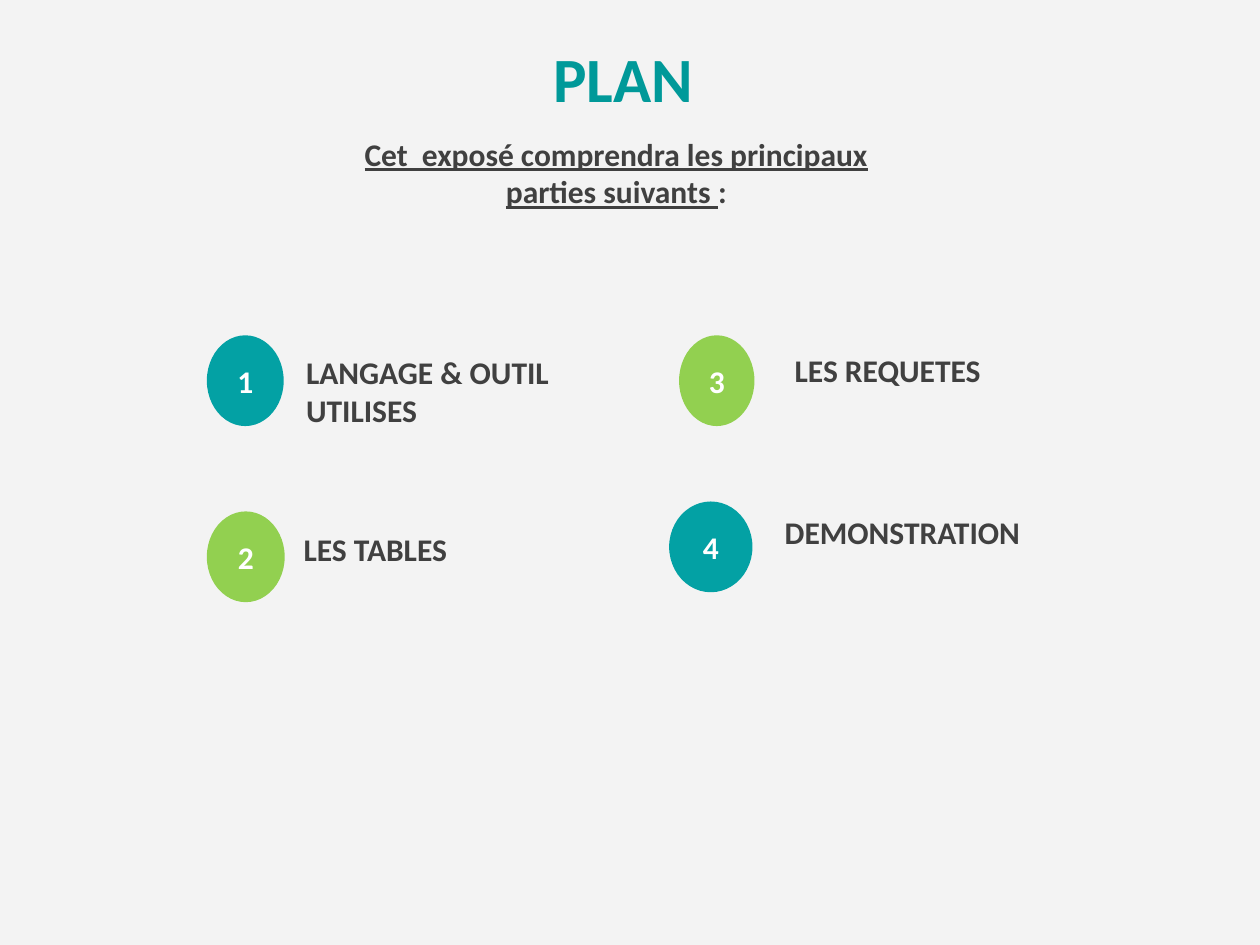
from lxml import etree
from pptx import Presentation
from pptx.dml.color import RGBColor
from pptx.enum.shapes import MSO_SHAPE as Shape
from pptx.enum.text import MSO_ANCHOR as Anchor, PP_ALIGN as Align
from pptx.oxml import parse_xml
from pptx.util import Cm, Pt

BACKGROUND = RGBColor(0xF3, 0xF3, 0xF3)
TITLE_TEAL = RGBColor(0x00, 0x99, 0x99)
TEAL = RGBColor(0x03, 0xA1, 0xA4)
GREEN = RGBColor(0x92, 0xD0, 0x50)
DARK = RGBColor(0x40, 0x40, 0x40)
WHITE = RGBColor(0xFF, 0xFF, 0xFF)

FONT = "Calibri"
BADGE_HEIGHT = 1.83

TEXT_SHADOW = (
    '<a:effectLst xmlns:a="http://schemas.openxmlformats.org/drawingml/2006/main">'
    '<a:outerShdw blurRad="50800" dist="38100" dir="13500000" algn="br" rotWithShape="0">'
    '<a:prstClr val="black"><a:alpha val="40000"/></a:prstClr>'
    '</a:outerShdw></a:effectLst>'
)

ITEMS = [
    ("1", "LANGAGE & OUTIL UTILISES", TEAL, (4.17, 6.76, 8.28, 2.03), 1.55, (1.75, 0.23)),
    ("2", "LES TABLES", GREEN, (4.17, 10.31, 8.46, 1.27), 1.57, (1.7, 0.25)),
    ("3", "LES REQUETES", GREEN, (13.69, 6.76, 7.24, 1.22), 1.52, (2.08, 0.2)),
    ("4", "DEMONSTRATION", TEAL, (13.49, 10.11, 7.72, 1.9), 1.68, (2.08, 0.1)),
]


def to_cm(box):
    return [Cm(length) for length in box]


def add_run(para, text, color, size=18, underline=None):
    run = para.add_run()
    run.text = text
    font = run.font
    font.name, font.size, font.bold = FONT, Pt(size), True
    font.underline = underline
    font.color.rgb = color
    return run


def add_text_box(page, box):
    frame = page.shapes.add_textbox(*to_cm(box)).text_frame
    frame.word_wrap = True
    return frame.paragraphs[0]


def place_title(page, box):
    title = page.shapes.title
    title.left, title.top, title.width, title.height = to_cm(box)
    title.text_frame.vertical_anchor = Anchor.TOP
    para = title.text_frame.paragraphs[0]
    para.alignment = Align.CENTER
    run = add_run(para, "PLAN ", TITLE_TEAL, size=36)
    fill = run.font.fill._xPr.solidFill
    fill.addnext(parse_xml(TEXT_SHADOW))


def add_intro(page, box):
    para = add_text_box(page, box)
    para.alignment = Align.CENTER
    add_run(para, "Cet  exposé comprendra les principaux parties suivants ", DARK, underline=True)
    add_run(para, ":", DARK)


def add_item(page, box, number, label, color, badge_width, label_offset):
    left, top, width, height = box
    badge = page.shapes.add_shape(Shape.OVAL, *to_cm((left, top, badge_width, BADGE_HEIGHT)))
    badge.shadow.inherit = False
    badge.fill.solid()
    badge.fill.fore_color.rgb = color
    badge.line.fill.background()
    frame = badge.text_frame
    frame.margin_left = frame.margin_right = 0
    frame.vertical_anchor = Anchor.MIDDLE
    para = frame.paragraphs[0]
    para.alignment = Align.CENTER
    add_run(para, number, WHITE)

    right_shift, down_shift = label_offset
    label_box = (left + right_shift, top + down_shift, width - right_shift, height - down_shift)
    add_run(add_text_box(page, label_box), label, DARK)


def main():
    deck = Presentation()
    deck.slide_width, deck.slide_height = Cm(25.4), Cm(19.05)
    page = deck.slides.add_slide(deck.slide_layouts[5])
    page.background.fill.solid()
    page.background.fill.fore_color.rgb = BACKGROUND
    place_title(page, (7.67, 0.66, 10.08, 1.8))
    add_intro(page, (6.2, 2.59, 12.45, 1.8))
    for number, label, color, box, badge_width, label_offset in ITEMS:
        add_item(page, box, number, label, color, badge_width, label_offset)
    deck.save("out.pptx")


if __name__ == "__main__":
    main()
